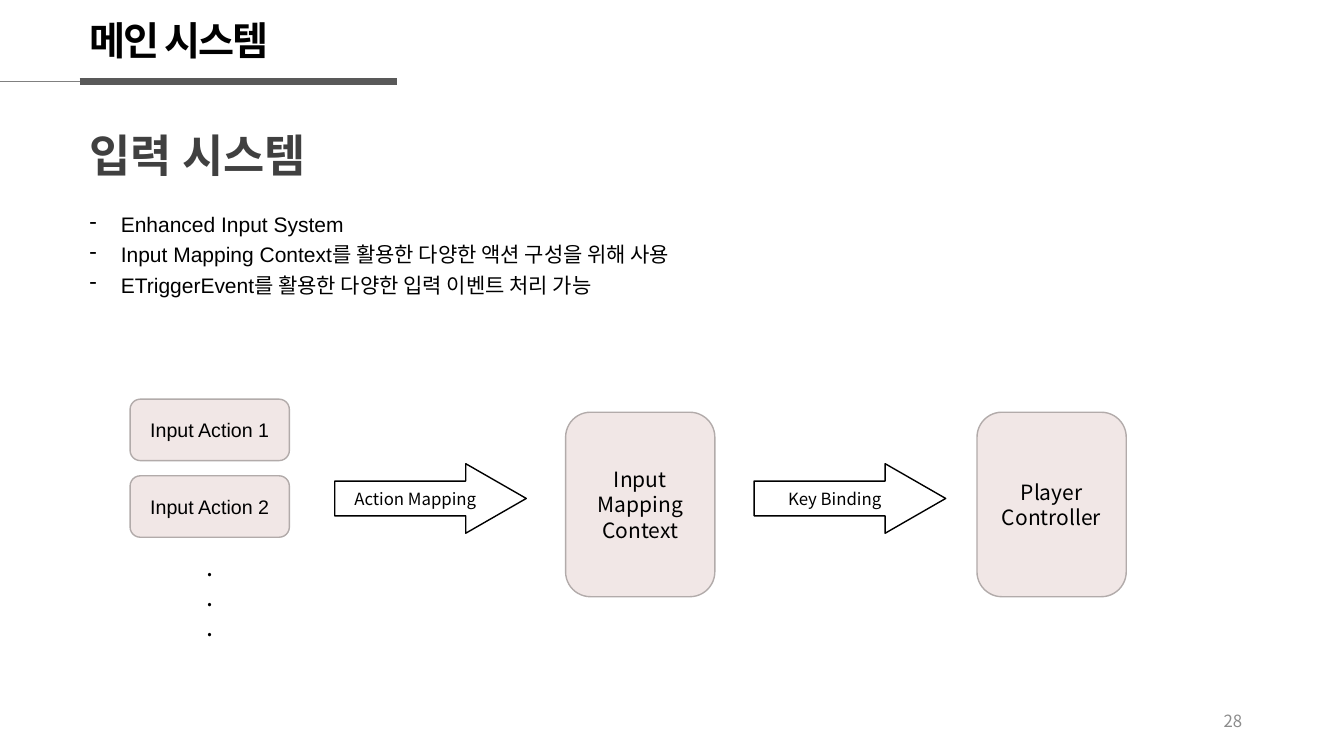
from lxml import etree
from pptx import Presentation
from pptx.dml.color import RGBColor
from pptx.enum.shapes import MSO_CONNECTOR, MSO_SHAPE
from pptx.enum.text import MSO_ANCHOR, MSO_AUTO_SIZE, PP_ALIGN
from pptx.oxml.ns import qn
from pptx.util import Inches, Pt

LEFT, CENTER, RIGHT = PP_ALIGN.LEFT, PP_ALIGN.CENTER, PP_ALIGN.RIGHT
TOP, MIDDLE = MSO_ANCHOR.TOP, MSO_ANCHOR.MIDDLE
GROW, FIXED = MSO_AUTO_SIZE.SHAPE_TO_FIT_TEXT, MSO_AUTO_SIZE.NONE
ROUNDED, ARROW = MSO_SHAPE.ROUNDED_RECTANGLE, MSO_SHAPE.RIGHT_ARROW
STRAIGHT = MSO_CONNECTOR.STRAIGHT
TITLE_ONLY = 5


def color(hex_code):
    return RGBColor.from_string(hex_code)


class SlideBuilder:
    LATIN = "Arial"
    KOREAN = "Noto Sans CJK KR"
    BLACK = "000000"
    NODE_FILL = "F1E7E6"
    NODE_LINE = "B2ABAA"

    def __init__(self, slide):
        self.slide = slide

    def fill_text(self, shape, text, size, font=KOREAN, ink=BLACK, align=LEFT,
                  anchor=TOP, bold=False, wrap=True, fit=FIXED):
        frame = shape.text_frame
        frame.text = text
        frame.word_wrap = wrap
        frame.auto_size = fit
        frame.vertical_anchor = anchor
        for paragraph in frame.paragraphs:
            paragraph.alignment = align
            for run in paragraph.runs:
                run.font.size = Pt(size)
                run.font.bold = bold
                run.font.color.rgb = color(ink)
                run.font.name = font
                east_asian = etree.SubElement(run._r.get_or_add_rPr(), qn("a:ea"))
                east_asian.set("typeface", self.KOREAN)
        return frame

    def title(self, box, text, size, spacing):
        heading = self.slide.shapes.title
        heading.left, heading.top, heading.width, heading.height = map(Inches, box)
        frame = self.fill_text(heading, text, size, bold=True, wrap=False, fit=GROW)
        for run in frame.paragraphs[0].runs:
            run._r.get_or_add_rPr().set("spc", str(int(spacing * 100)))

    def text(self, box, text, size, **style):
        label = self.slide.shapes.add_textbox(*map(Inches, box))
        return self.fill_text(label, text, size, **style)

    def bullets(self, box, items, size):
        frame = self.text(box, "\n".join(items), size, font=self.LATIN, fit=GROW)
        for paragraph in frame.paragraphs:
            paragraph.line_spacing = 1.2
            properties = paragraph._p.get_or_add_pPr()
            properties.set("marL", str(Inches(0.31)))
            properties.set("indent", str(-Inches(0.31)))
            etree.SubElement(properties, qn("a:buChar")).set("char", "-")

    def rule(self, start, end, y, ink, width):
        line = self.slide.shapes.add_connector(
            STRAIGHT, Inches(start), Inches(y), Inches(end), Inches(y))
        line.line.color.rgb = color(ink)
        line.line.width = Pt(width)
        etree.SubElement(line._element.spPr, qn("a:effectLst"))

    def shape(self, kind, box, outline):
        shape = self.slide.shapes.add_shape(kind, *map(Inches, box))
        shape.shadow.inherit = False
        shape.line.color.rgb = color(outline)
        shape.line.width = Pt(1)
        return shape

    def node(self, box, text, size, font=KOREAN):
        node = self.shape(ROUNDED, box, self.NODE_LINE)
        node.fill.solid()
        node.fill.fore_color.rgb = color(self.NODE_FILL)
        self.fill_text(node, text, size, font=font, align=CENTER, anchor=MIDDLE)

    def arrow(self, box, text):
        arrow = self.shape(ARROW, box, self.BLACK)
        arrow.adjustments[0] = 0.5
        arrow.adjustments[1] = 0.87
        arrow.fill.background()
        self.fill_text(arrow, text, 12, align=CENTER, anchor=MIDDLE)


def main():
    deck = Presentation()
    deck.slide_width, deck.slide_height = Inches(13.33), Inches(7.5)
    page = SlideBuilder(deck.slides.add_slide(deck.slide_layouts[TITLE_ONLY]))
    margin = 0.79

    # Header with its two-part rule
    page.rule(0, margin, 0.81, "808080", 0.5)
    page.rule(margin, 3.94, 0.81, "595959", 4.5)
    page.title((margin, 0.11, 2.18, 0.57), "메인 시스템", 28, spacing=-1.5)

    # Section heading and key points
    page.text((margin, 1.22, 5.65, 0.64), "입력 시스템", 32, font=page.LATIN,
              ink="404040", bold=True, fit=GROW)
    page.bullets((margin, 2, 6.98, 0.98), [
        "Enhanced Input System",
        "Input Mapping Context를 활용한 다양한 액션 구성을 위해 사용",
        "ETriggerEvent를 활용한 다양한 입력 이벤트 처리 가능",
    ], 15)

    # Input actions, continued by dots
    for index in range(2):
        page.node((1.29, 3.96 + index * 0.76, 1.58, 0.61),
                  f"Input Action {index + 1}", 14, font=page.LATIN)
    page.text((2, 5.42, 0.15, 1.01), "\n".join("..."), 18, fit=GROW)

    # Flow from the actions to the controller
    for left, step in ((3.32, "Action Mapping"), (7.48, "Key Binding")):
        page.arrow((left, 4.6, 1.9, 0.69), step)
    for left, stage in ((5.61, "Input\nMapping\nContext"),
                        (9.69, "Player\nController")):
        page.node((left, 4.09, 1.48, 1.83), stage, 15)

    # Page number
    page.text((9.42, 6.95, 3, 0.4), "28", 12, ink="8C8C8C", align=RIGHT,
              anchor=MIDDLE)

    deck.save("out.pptx")


if __name__ == "__main__":
    main()
